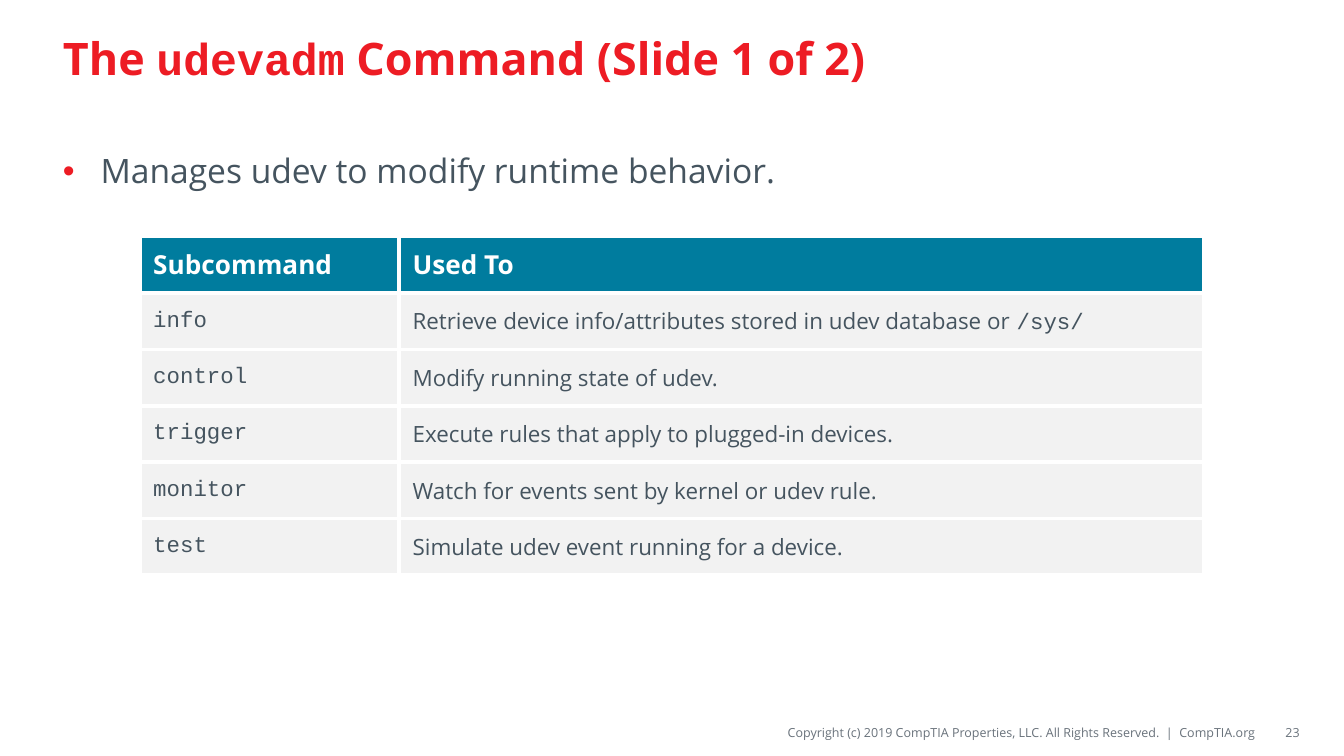
import dataclasses

import pptx
import pptx.dml.color
import pptx.enum.text
import pptx.oxml
import pptx.oxml.ns
import pptx.util
from pptx.util import Inches

Color = pptx.dml.color.RGBColor.from_string
ANCHOR = pptx.enum.text.MSO_ANCHOR
ALIGN = pptx.enum.text.PP_ALIGN


@dataclasses.dataclass(frozen=True)
class Theme:
    sans: str = "Open Sans"
    mono: str = "Courier New"
    red: str = "ED1C24"
    text: str = "45545F"
    muted: str = "69727B"
    white: str = "FFFFFF"
    header: str = "007C9E"
    row: str = "F2F2F2"
    title_size: float = 24
    body_size: float = 18
    header_size: float = 14
    cell_size: float = 12
    footer_size: float = 6.7
    border_width: float = 2.25


theme = Theme()


def write(paragraph, pieces, size, color, bold=False):
    """Add (text, font name) pieces as runs of one size and colour."""
    for text, font_name in pieces:
        run = paragraph.add_run()
        run.text = text
        run.font.name = font_name
        run.font.size = pptx.util.Pt(size)
        run.font.bold = bold
        run.font.color.rgb = Color(color)


def add_text_frame(slide, left, top, width, height, anchor):
    frame = slide.shapes.add_textbox(
        Inches(left), Inches(top), Inches(width), Inches(height)).text_frame
    frame.word_wrap = True
    frame.vertical_anchor = anchor
    return frame


# Widescreen, 16 by 9
prs = pptx.Presentation()
prs.slide_width = Inches(10)
prs.slide_height = Inches(10) * 9 // 16
slide = prs.slides.add_slide(prs.slide_layouts[6])

# Title
title = add_text_frame(slide, 0.37, 0.08, 9.25, 0.69, ANCHOR.MIDDLE)
write(title.paragraphs[0],
      [("The ", theme.sans), ("udevadm", theme.mono),
       (" Command (Slide 1 of 2)", theme.sans)],
      theme.title_size, theme.red, bold=True)

# Bullet
body = add_text_frame(slide, 0.37, 1.07, 9.25, 3.9, ANCHOR.TOP)
purpose = body.paragraphs[0]
bullet_props = purpose._p.get_or_add_pPr()
bullet_props.set("marL", str(Inches(0.28)))
bullet_props.set("indent", str(Inches(-0.28)))
for bullet_xml in (f'<a:buClr %s><a:srgbClr val="{theme.red}"/></a:buClr>',
                   '<a:buFont %s typeface="Arial"/>',
                   '<a:buChar %s char="•"/>'):
    bullet_props.append(pptx.oxml.parse_xml(bullet_xml % pptx.oxml.ns.nsdecls("a")))
write(purpose, [("Manages udev to modify runtime behavior.", theme.sans)],
      theme.body_size, theme.text)

# Subcommand table
subcommands = [
    ("info", [("Retrieve device info/attributes stored in udev database or ", theme.sans),
              ("/sys/", theme.mono)]),
    ("control", [("Modify running state of udev.", theme.sans)]),
    ("trigger", [("Execute rules that apply to plugged-in devices.", theme.sans)]),
    ("monitor", [("Watch for events sent by kernel or udev rule.", theme.sans)]),
    ("test", [("Simulate udev event running for a device.", theme.sans)]),
]
rows = [([("Subcommand", theme.sans)], [("Used To", theme.sans)])]
rows += [([(name, theme.mono)], use) for name, use in subcommands]

row_height = 0.42
table = slide.shapes.add_table(
    len(rows), 2, Inches(1.04), Inches(1.76),
    Inches(7.92), Inches(row_height * len(rows))).table
table.columns[0].width = Inches(1.93)
table.columns[1].width = Inches(5.99)

for row_index, row in enumerate(rows):
    is_header = row_index == 0
    table.rows[row_index].height = Inches(row_height)
    for column_index, pieces in enumerate(row):
        cell = table.cell(row_index, column_index)
        cell.vertical_anchor = ANCHOR.MIDDLE
        cell_props = cell._tc.get_or_add_tcPr()
        for side in "LRTB":
            cell_props.append(pptx.oxml.parse_xml(
                f'<a:ln{side} {pptx.oxml.ns.nsdecls("a")} '
                f'w="{pptx.util.Pt(theme.border_width)}"><a:solidFill>'
                f'<a:srgbClr val="{theme.white}"/></a:solidFill></a:ln{side}>'))
        cell.fill.solid()
        cell.fill.fore_color.rgb = Color(theme.header if is_header else theme.row)
        write(cell.text_frame.paragraphs[0], pieces,
              theme.header_size if is_header else theme.cell_size,
              theme.white if is_header else theme.text, bold=is_header)

# Footer
copyright_line = "Copyright (c) 2019 CompTIA Properties, LLC. All Rights Reserved.  |  CompTIA.org"
for text, left, width, left_inset in ((copyright_line, 3.88, 5.47, 0),
                                      ("23", 9.38, 0.29, 0.1)):
    footer = add_text_frame(slide, left, 5.34, width, 0.22, ANCHOR.MIDDLE)
    footer.margin_left, footer.margin_right = Inches(left_inset), 0
    footer.margin_top = footer.margin_bottom = Inches(0.04)
    footer.paragraphs[0].alignment = ALIGN.RIGHT
    write(footer.paragraphs[0], [(text, theme.sans)], theme.footer_size, theme.muted)

prs.save("out.pptx")
